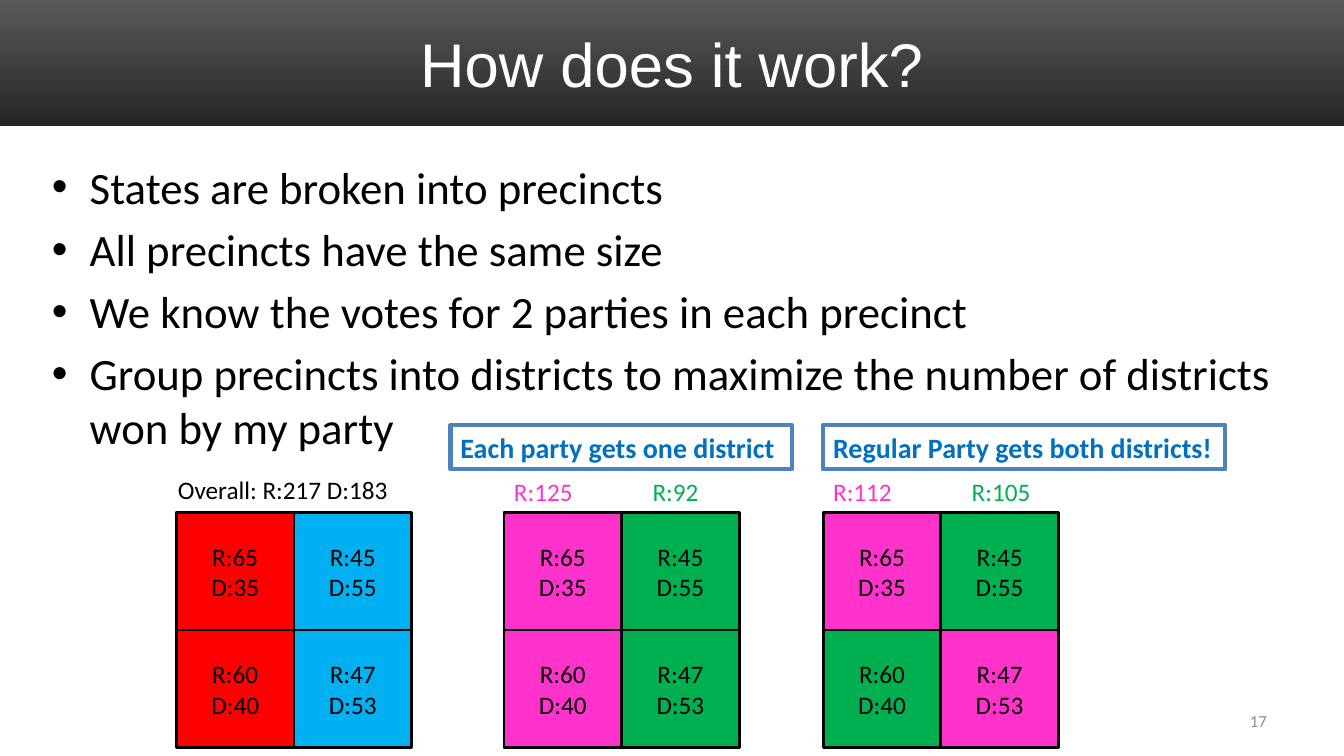
from dataclasses import dataclass
from pptx import Presentation
from pptx.dml.color import RGBColor as RGB
from pptx.enum.shapes import MSO_SHAPE as Kind
from pptx.enum.text import MSO_ANCHOR as Anchor, PP_ALIGN as Align
from pptx.oxml import parse_xml
from pptx.oxml.ns import nsdecls
from pptx.util import Pt


@dataclass(frozen=True)
class Theme:
    """Colours, fonts and type sizes of the slide."""
    dark: str = "262626"
    grey: str = "595959"
    pale: str = "8C8C8C"
    black: str = "000000"
    white: str = "FFFFFF"
    red: str = "FF0000"
    sky: str = "00B0F0"
    pink: str = "FF33CC"
    green: str = "00B050"
    blue: str = "0070C0"
    edge: str = "4F81BD"
    head: str = "Arial"
    body: str = "Calibri"
    title: int = 44
    list: int = 32
    note: int = 20
    cell: int = 18
    page: int = 12


T = Theme()
VOTES = ["R:65\nD:35", "R:45\nD:55", "R:60\nD:40", "R:47\nD:53"]
POINTS = [
    "States are broken into precincts",
    "All precincts have the same size",
    "We know the votes for 2 parties in each precinct",
    "Group precincts into districts to maximize the number of districts won by my party",
]


def px(*nums):
    """Turn pixels into EMU."""
    return [n * 9525 for n in nums]


def style(font, size, color=T.black, face=T.body, bold=None):
    """Set the look of a font."""
    font.size, font.name, font.bold = Pt(size), face, bold
    font.color.rgb = RGB.from_string(color)


def write(shape, text, size, color=T.black, face=T.body, align=Align.LEFT,
          anchor=Anchor.MIDDLE, bold=None, wrap=True):
    """Fill a shape with lines of text in one style."""
    frame = shape.text_frame
    frame.text, frame.word_wrap, frame.vertical_anchor = text, wrap, anchor
    for para in frame.paragraphs:
        para.alignment = align
        style(para.font, size, color, face, bold)


def block(slide, box, fill=None, line=None, width=2):
    """Draw a plain rectangle."""
    shape = slide.shapes.add_shape(Kind.RECTANGLE, *px(*box))
    shape.shadow.inherit = False
    if fill:
        shape.fill.solid()
        shape.fill.fore_color.rgb = RGB.from_string(fill)
    else:
        shape.fill.background()
    if line:
        shape.line.color.rgb = RGB.from_string(line)
        shape.line.width = Pt(width)
    else:
        shape.line.fill.background()
    return shape


def label(slide, box, text, size, **look):
    """Place a text box."""
    write(slide.shapes.add_textbox(*px(*box)), text, size, **look)


def banner(slide, box, text):
    """Draw the shaded title band."""
    x, y, w, h = box
    fill = block(slide, box).fill
    fill.gradient()
    fill.gradient_angle = 270
    for stop, color in zip(fill.gradient_stops, (T.grey, T.dark)):
        stop.color.rgb = RGB.from_string(color)
    label(slide, (x + 64, y + 16, w - 128, h - 32), text, T.title,
          color=T.white, face=T.head, align=Align.CENTER)


def points(slide, box, items):
    """Place the bullet list."""
    frame = slide.shapes.add_textbox(*px(*box)).text_frame
    frame.text, frame.word_wrap = "\n".join(items), True
    frame.vertical_anchor = Anchor.MIDDLE
    dent, = px(36)
    for i, para in enumerate(frame.paragraphs):
        if i:
            para.space_before = Pt(6)
        props = para._p.get_or_add_pPr()
        props.set("marL", str(dent))
        props.set("indent", str(-dent))
        props.append(parse_xml(f'<a:buFont {nsdecls("a")} typeface="Arial"/>'))
        props.append(parse_xml(f'<a:buChar {nsdecls("a")} char="•"/>'))
        style(para.font, T.list)


def grid(slide, box, fills):
    """Draw a state as two rows of two precincts."""
    x, y, w, h = box
    block(slide, box, T.white, T.black)
    w, h = w // 2, h // 2
    for i, (fill, votes) in enumerate(zip(fills, VOTES)):
        row, col = divmod(i, 2)
        cell = block(slide, (x + col * w, y + row * h, w, h), fill, T.black)
        write(cell, votes, T.cell, align=Align.CENTER)


def tally(slide, box, sums):
    """Place the two district sums, the second at a tab stop."""
    frame = slide.shapes.add_textbox(*px(*box)).text_frame
    frame.word_wrap = True
    para = frame.paragraphs[0]
    stop, = px(132)
    para._p.get_or_add_pPr().append(parse_xml(
        f'<a:tabLst {nsdecls("a")}><a:tab pos="{stop}" algn="l"/></a:tabLst>'))
    for text, color in zip((sums[0] + "\t", sums[1]), (T.pink, T.green)):
        run = para.add_run()
        run.text = text
        style(run.font, T.cell, color)


def note(slide, box, text, wrap=True):
    """Draw a framed remark."""
    write(block(slide, box, line=T.edge, width=3), text, T.note, color=T.blue,
          anchor=Anchor.TOP, bold=True, wrap=wrap)


def main():
    """Build and save the slide."""
    deck = Presentation()
    deck.slide_width, deck.slide_height = px(1280, 720)
    slide = deck.slides.add_slide(deck.slide_layouts[6])
    banner(slide, (0, 0, 1280, 120), "How does it work?")
    points(slide, (40, 144, 1200, 296), POINTS)
    label(slide, (1144, 667, 72, 38), "17", T.page, color=T.pale, align=Align.RIGHT)

    top, side = 488, 224
    grid(slide, (168, top, side, side), [T.red, T.sky] * 2)
    label(slide, (160, top - 41, 256, 38), "Overall: R:217 D:183", T.cell, anchor=Anchor.TOP)
    plans = [
        (480, [T.pink, T.green, T.pink, T.green], ("R:125", "R:92")),
        (784, [T.pink, T.green, T.green, T.pink], ("R:112", "R:105")),
    ]
    for x, fills, sums in plans:
        grid(slide, (x, top, side, side), fills)
        tally(slide, (x, top - 39, side, 38), sums)
    note(slide, (429, 405, 325, 42), "Each party gets one district")
    note(slide, (784, 405, 383, 42), "Regular Party gets both districts!", wrap=False)
    deck.save("out.pptx")


if __name__ == "__main__":
    main()
